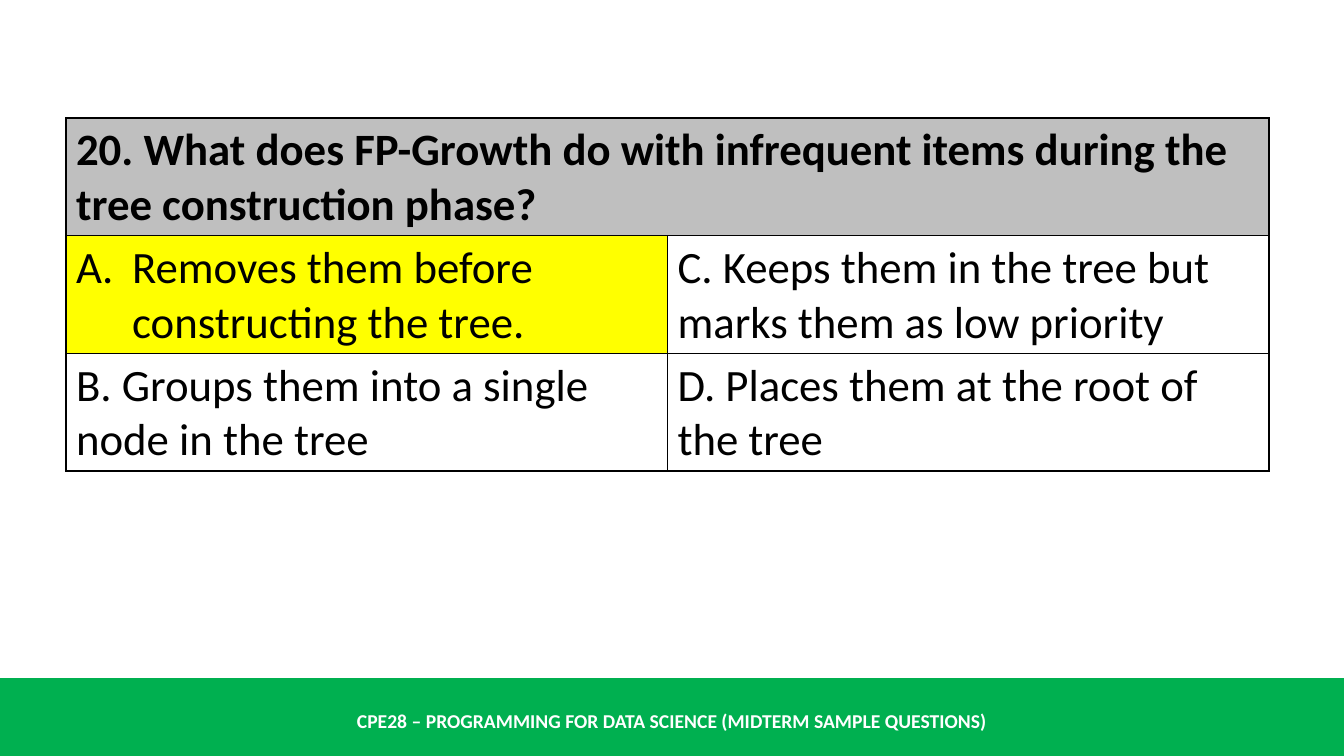
import pptx
import pptx.dml.color
import pptx.enum.shapes
import pptx.enum.text
import pptx.oxml.xmlchemy
import pptx.util
from lxml import etree
from pptx.oxml.ns import qn

EMU_PER_PX = 914400 / 100.8
SLIDE_WIDTH, SLIDE_HEIGHT = 1344, 756
FONT = "Calibri"

QUESTION = "20. What does FP-Growth do with infrequent items during the tree construction phase?"
ANSWERS = [
    ["Removes them before constructing the tree.",
     "C. Keeps them in the tree but marks them as low priority"],
    ["B. Groups them into a single node in the tree",
     "D. Places them at the root of the tree"],
]
COURSE = "CPE28 – PROGRAMMING FOR DATA SCIENCE (MIDTERM SAMPLE QUESTIONS)"


def px(length):
    return pptx.util.Emu(round(length * EMU_PER_PX))


def color(hex_string):
    return pptx.dml.color.RGBColor.from_string(hex_string)


def style_text(paragraph, size, hex_string, bold):
    for run in paragraph.runs:
        run.font.name = FONT
        run.font.size = pptx.util.Pt(size)
        run.font.bold = bold
        run.font.color.rgb = color(hex_string)


def add_borders(cell, hex_string, width):
    """Draw all four edges; they must come before the cell's fill."""
    properties = cell._tc.get_or_add_tcPr()
    for position, edge in enumerate(("a:lnL", "a:lnR", "a:lnT", "a:lnB")):
        line = etree.Element(qn(edge), w=str(pptx.util.Pt(width)))
        fill = etree.SubElement(line, qn("a:solidFill"))
        etree.SubElement(fill, qn("a:srgbClr"), val=hex_string)
        properties.insert(position, line)


def number_with_letter(paragraph, indent):
    properties = paragraph._p.get_or_add_pPr()
    properties.set("marL", str(px(indent)))
    properties.set("indent", str(-px(indent)))
    etree.SubElement(properties, qn("a:buFont"), typeface="+mj-lt")
    etree.SubElement(properties, qn("a:buAutoNum"), type="alphaUcPeriod")


def fill_cell(cell, text, fill=None, bold=False):
    if fill:
        cell.fill.solid()
        cell.fill.fore_color.rgb = color(fill)
    else:
        cell.fill.background()
    cell.vertical_anchor = pptx.enum.text.MSO_ANCHOR.MIDDLE
    cell.text_frame.text = text
    style_text(cell.text_frame.paragraphs[0], 32, "000000", bold)


def add_question(slide, left, top, width, height):
    rows, columns = len(ANSWERS) + 1, len(ANSWERS[0])
    table = slide.shapes.add_table(
        rows, columns, px(left), px(top), px(width), px(height)).table
    table.first_row = False
    table.horz_banding = False

    question = table.cell(0, 0)
    question.merge(table.cell(0, columns - 1))
    fill_cell(question, QUESTION, "BFBFBF", bold=True)
    for row, answers in enumerate(ANSWERS, start=1):
        for column, answer in enumerate(answers):
            fill_cell(table.cell(row, column), answer)

    correct = table.cell(1, 0)
    correct.fill.solid()
    correct.fill.fore_color.rgb = color("FFFF00")
    number_with_letter(correct.text_frame.paragraphs[0], 56)
    for cell in table.iter_cells():
        add_borders(cell, "000000", 1)


def add_footer(slide, left, top, width, height):
    band = slide.shapes.add_shape(
        pptx.enum.shapes.MSO_SHAPE.RECTANGLE, px(left), px(top), px(width), px(height))
    band.shadow.inherit = False
    band.fill.solid()
    band.fill.fore_color.rgb = color("00B050")
    band.line.fill.background()

    course = slide.shapes.add_textbox(px(left), px(top + 23), px(width), px(40))
    frame = course.text_frame
    frame.word_wrap = True
    frame.vertical_anchor = pptx.enum.text.MSO_ANCHOR.MIDDLE
    frame.text = COURSE
    frame.paragraphs[0].alignment = pptx.enum.text.PP_ALIGN.CENTER
    style_text(frame.paragraphs[0], 14, "FFFFFF", True)


def main():
    deck = pptx.Presentation()
    deck.slide_width, deck.slide_height = px(SLIDE_WIDTH), px(SLIDE_HEIGHT)
    slide = deck.slides.add_slide(deck.slide_layouts[6])
    add_footer(slide, 0, 678, SLIDE_WIDTH, SLIDE_HEIGHT - 678)
    add_question(slide, 66, 118, 1203, 345)
    deck.save("out.pptx")


if __name__ == "__main__":
    main()
